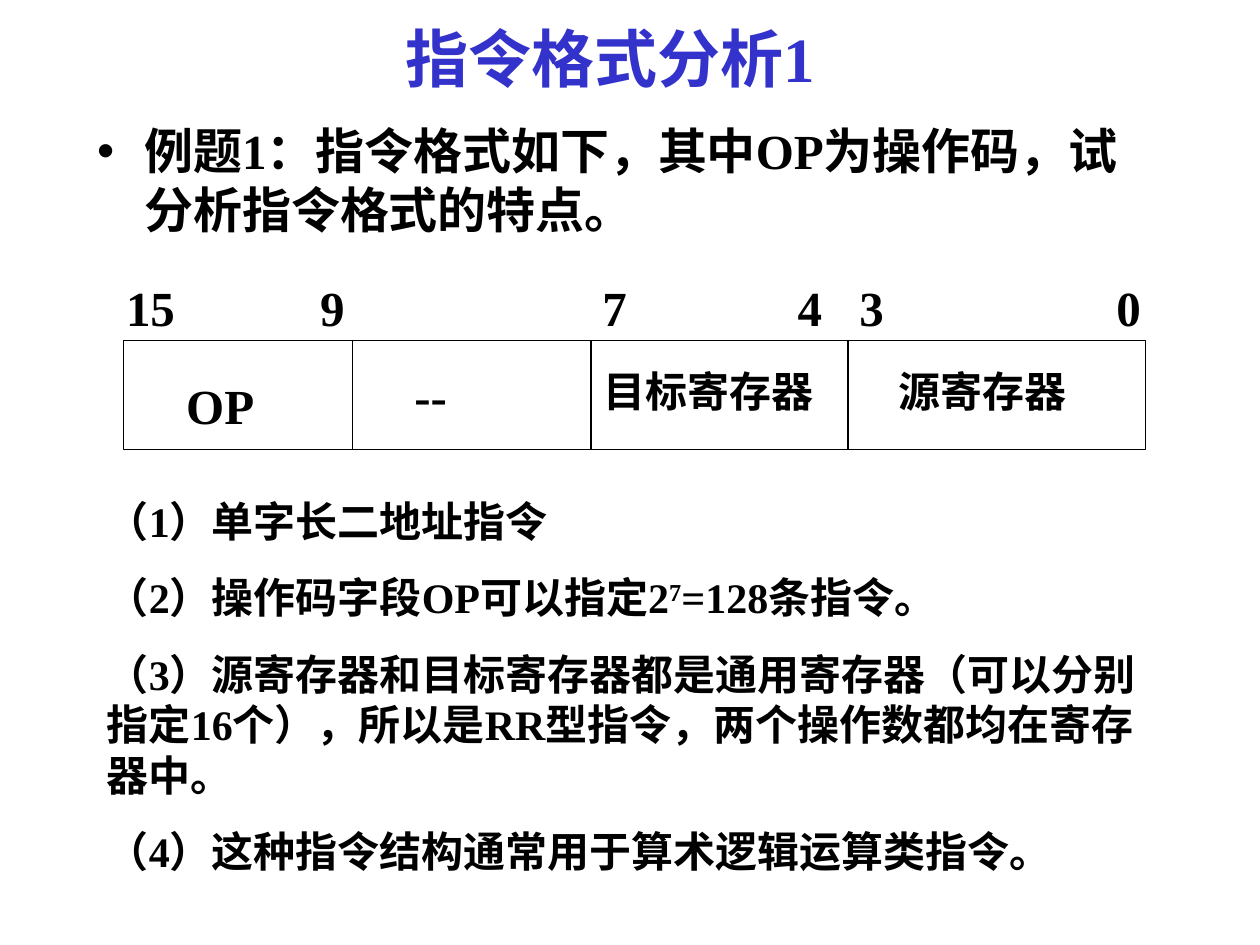
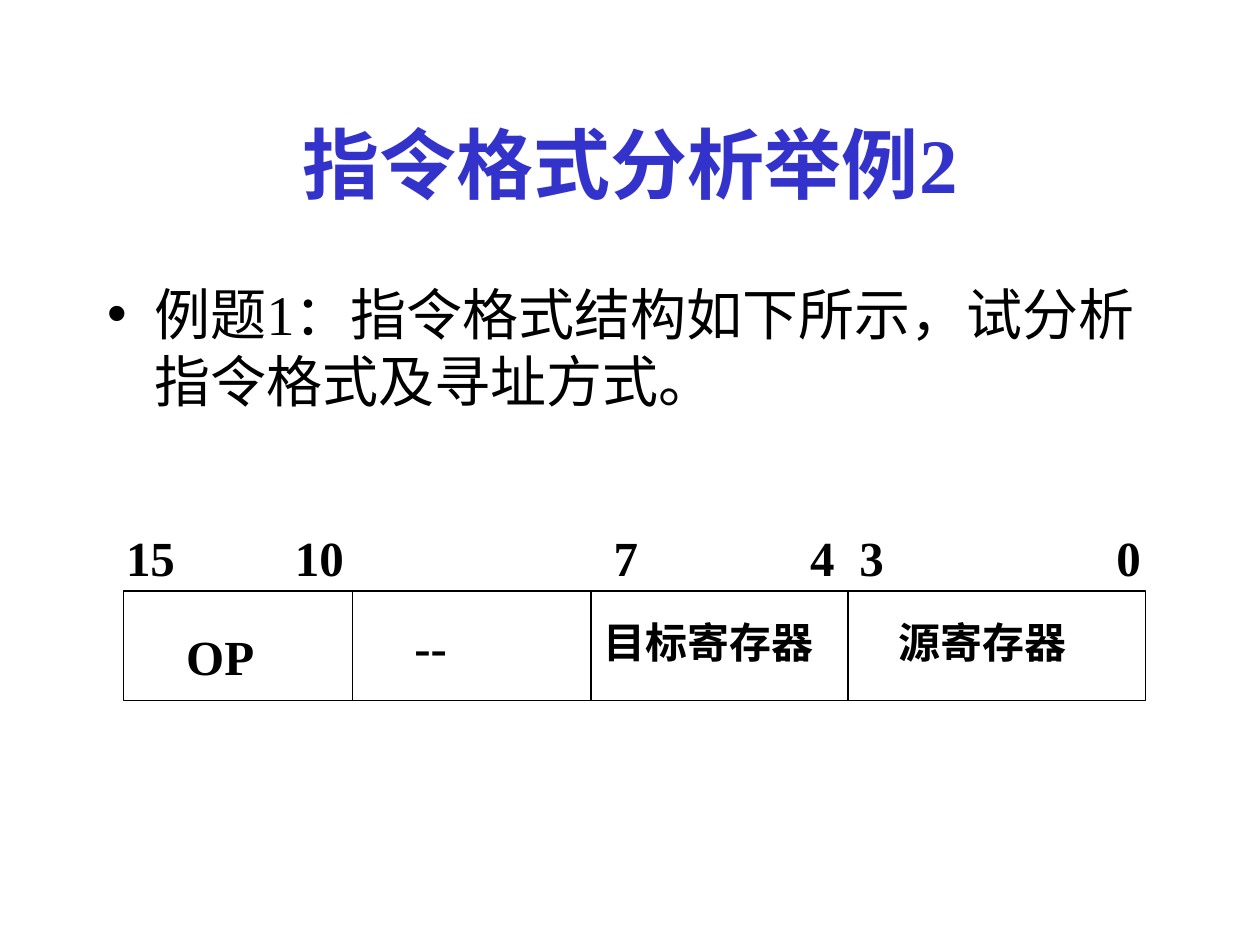
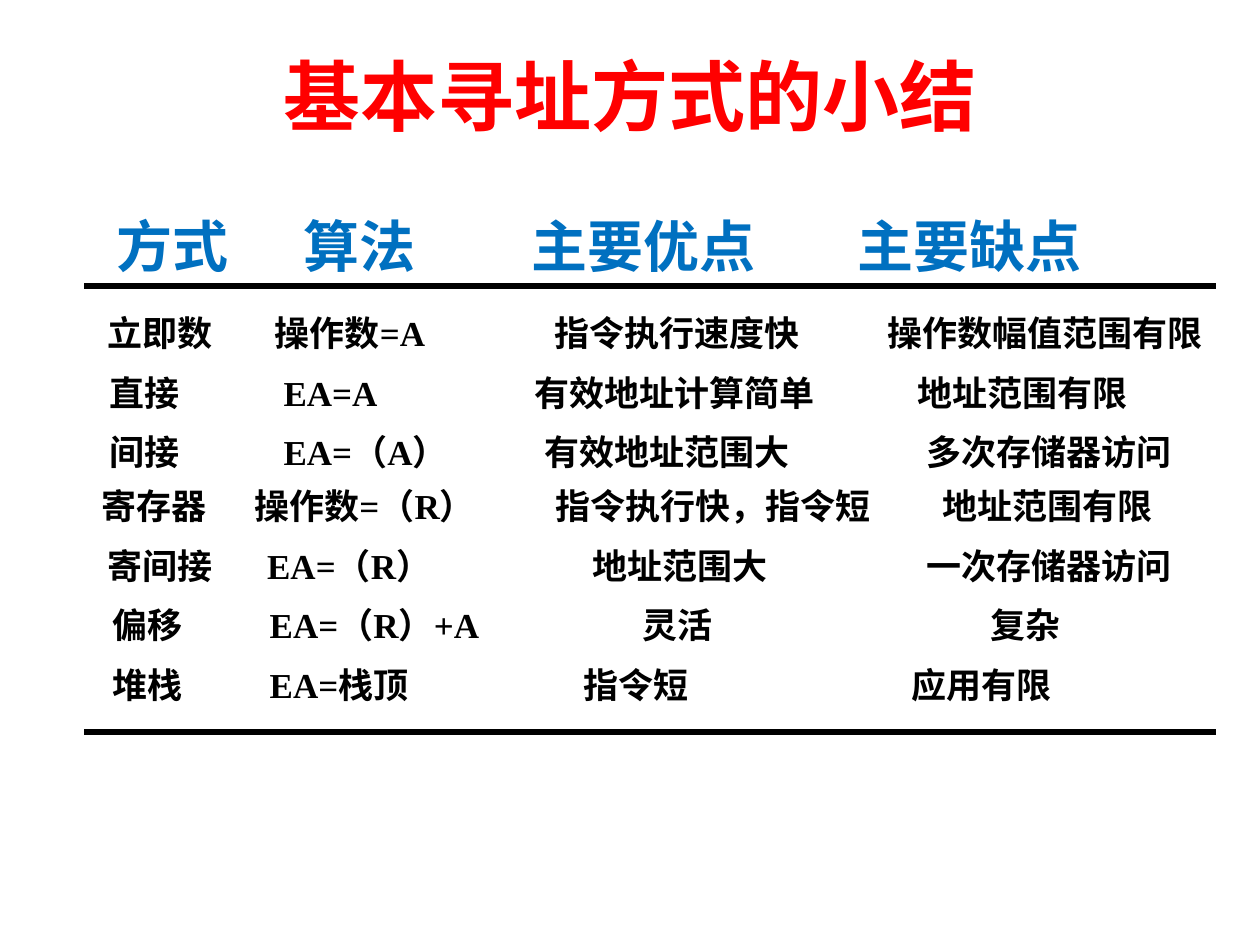
from lxml import etree
from pptx import Presentation
from pptx.dml.color import RGBColor
from pptx.enum.shapes import MSO_CONNECTOR as Connector, MSO_SHAPE as Shape
from pptx.enum.text import MSO_ANCHOR as Anchor, MSO_AUTO_SIZE as AutoSize, PP_ALIGN as Align
from pptx.oxml.ns import qn
from pptx.util import Inches, Pt

FONT = "Times New Roman"
BLACK, INDIGO, RED, BLUE = "000000", "3333CC", "FF0000", "0070C0"


def write(paragraph, text, size, color=BLACK, bold=True):
    run = paragraph.add_run()
    run.text = text
    run.font.size, run.font.bold, run.font.name = Pt(size), bold, FONT
    run.font.color.rgb = RGBColor.from_string(color)
    return run


def add_columns(slide, area, cells, starts, size, color=BLACK):
    """Set cells on one line, each at its distance from the slide's left edge."""
    frame = slide.shapes.add_textbox(*map(Inches, area)).text_frame
    frame.word_wrap = True
    frame.margin_left = Inches(starts[0] - area[0])
    paragraph = frame.paragraphs[0]
    if len(starts) > 1:
        stops = etree.SubElement(paragraph._p.get_or_add_pPr(), qn("a:tabLst"))
        for start in starts[1:]:
            etree.SubElement(stops, qn("a:tab"), pos=str(Inches(start - starts[0])), algn="l")
    write(paragraph, "\t".join(cells), size, color)


deck = Presentation()
deck.slide_width, deck.slide_height = Inches(10), Inches(7.5)
content_layout, title_layout = deck.slide_layouts[1], deck.slide_layouts[5]

# Titles
pages = [
    (content_layout, "指令格式分析1", (0.59, 0, 8.5, 0.91), 36, INDIGO),
    (content_layout, "指令格式分析举例2", (0.75, 0.67, 8.5, 1.25), 44, INDIGO),
    (title_layout, "基本寻址方式的小结", (0.75, 0.13, 8.5, 1.25), 44, RED),
]
slides = []
for layout, heading, area, size, color in pages:
    slide = deck.slides.add_slide(layout)
    title = slide.shapes.title
    title.left, title.top, title.width, title.height = map(Inches, area)
    title.text_frame.auto_size = AutoSize.NONE
    title.text_frame.vertical_anchor = Anchor.MIDDLE
    title.text_frame.paragraphs[0].alignment = Align.CENTER
    write(title.text_frame.paragraphs[0], heading, size, color)
    slides.append(slide)
first, second, summary = slides

# Exercise questions
questions = [
    (first, (0.67, 0.91, 8.5, 4.5), "例题1：指令格式如下，其中OP为操作码，试分析指令格式的特点。", 28, True),
    (second, (0.75, 2.17, 8.5, 4.5), "例题1：指令格式结构如下所示，试分析指令格式及寻址方式。", 32, False),
]
for slide, area, question, size, bold in questions:
    body = slide.placeholders[1]
    body.left, body.top, body.width, body.height = map(Inches, area)
    body.text_frame.auto_size = AutoSize.NONE
    body.text_frame.paragraphs[0].space_before = Pt(0)
    write(body.text_frame.paragraphs[0], question, size, bold=bold)

# Instruction formats: bit numbers above a word divided into four fields
lines = []
formats = [
    (first, 2.7, ["15", "9", "7", "4", "3", "0"], [1, 2.54, 4.78, 6.33, 6.82, 8.86]),
    (second, 4.69, ["15", "10", "7", "4", "3", "0"], [1, 2.34, 4.87, 6.43, 6.82, 8.86]),
]
for slide, top, bits, bit_starts in formats:
    word = slide.shapes.add_shape(Shape.RECTANGLE, Inches(0.98), Inches(top), Inches(8.11), Inches(0.87))
    word.shadow.inherit = False
    word.fill.background()
    word.line.color.rgb = RGBColor.from_string(BLACK)
    word.line.width = Pt(0.75)
    for divider in (2.8, 4.69, 6.73):
        lines.append((slide, divider, top, divider, top + 0.87, 0.75))
    labels = [
        (0.9, -0.55, 8.58, 0.57, bits, bit_starts, 28),
        (1.38, 0.23, 1.1, 0.57, ["OP"], [1.48], 28),
        (3.19, 0.15, 1.1, 0.57, ["--"], [3.29], 28),
        (4.69, 0.15, 2.44, 0.5, ["目标寄存器"], [4.79], 24),
        (6.81, 0.15, 2.44, 0.5, ["源寄存器"], [7.13], 24),
    ]
    for left, offset, width, height, cells, starts, size in labels:
        add_columns(slide, (left, top + offset, width, height), cells, starts, size)

# Features of the first format
features = [
    ["（1）单字长二地址指令"],
    ["（2）操作码字段OP可以指定2", "7", "=128条指令。"],
    ["（3）源寄存器和目标寄存器都是通用寄存器（可以分别指定16个），所以是RR型指令，两个操作数都均在寄存器中。"],
    ["（4）这种指令结构通常用于算术逻辑运算类指令。"],
]
analysis = first.shapes.add_textbox(Inches(0.75), Inches(3.88), Inches(8.43), Inches(3.13)).text_frame
analysis.word_wrap = True
for number, parts in enumerate(features):
    paragraph = analysis.add_paragraph() if number else analysis.paragraphs[0]
    paragraph.space_before = Pt(15 if number else 0)
    for part in parts:
        run = write(paragraph, part, 24)
        if part == "7":
            run._r.get_or_add_rPr().set("baseline", "30000")

# Summary of addressing modes: mode, algorithm, advantage, drawback
add_columns(summary, (0.83, 1.63, 8.82, 0.64), ["方式", "算法", "主要优点", "主要缺点"],
            [0.93, 2.41, 4.22, 6.81], 32, BLUE)
modes = [
    (0.75, 2.42, ["立即数", "操作数=A", "指令执行速度快", "操作数幅值范围有限"], [0.85, 2.18, 4.4, 7.04]),
    (0.59, 2.9, ["直接", "EA=A", "有效地址计算简单", "地址范围有限"], [0.87, 2.25, 4.24, 7.28]),
    (0.59, 3.37, ["间接", "EA=（A）", "有效地址范围大", "多次存储器访问"], [0.87, 2.25, 4.32, 7.35]),
    (0.71, 3.8, ["寄存器", "操作数=（R）", "指令执行快，指令短", "地址范围有限"], [0.81, 2.02, 4.41, 7.48]),
    (0.75, 4.27, ["寄间接", "EA=（R）", "地址范围大", "一次存储器访问"], [0.85, 2.12, 4.7, 7.35]),
    (0.79, 4.74, ["偏移", "EA=（R）+A", "灵活", "复杂"], [0.89, 2.14, 5.1, 7.86]),
    (0.79, 5.22, ["堆栈", "EA=栈顶", "指令短", "应用有限"], [0.89, 2.14, 4.63, 7.23]),
]
for left, top, cells, starts in modes:
    add_columns(summary, (left, top, 9.25, 0.44), cells, starts, 20)
for height in (2.27, 5.81):
    lines.append((summary, 0.67, height, 9.65, height, 3))

# Field dividers and summary rules
for slide, x1, y1, x2, y2, weight in lines:
    rule = slide.shapes.add_connector(Connector.STRAIGHT, *map(Inches, (x1, y1, x2, y2)))
    rule.line.color.rgb = RGBColor.from_string(BLACK)
    rule.line.width = Pt(weight)
    etree.SubElement(rule._element.spPr, qn("a:effectLst"))

deck.save("out.pptx")
